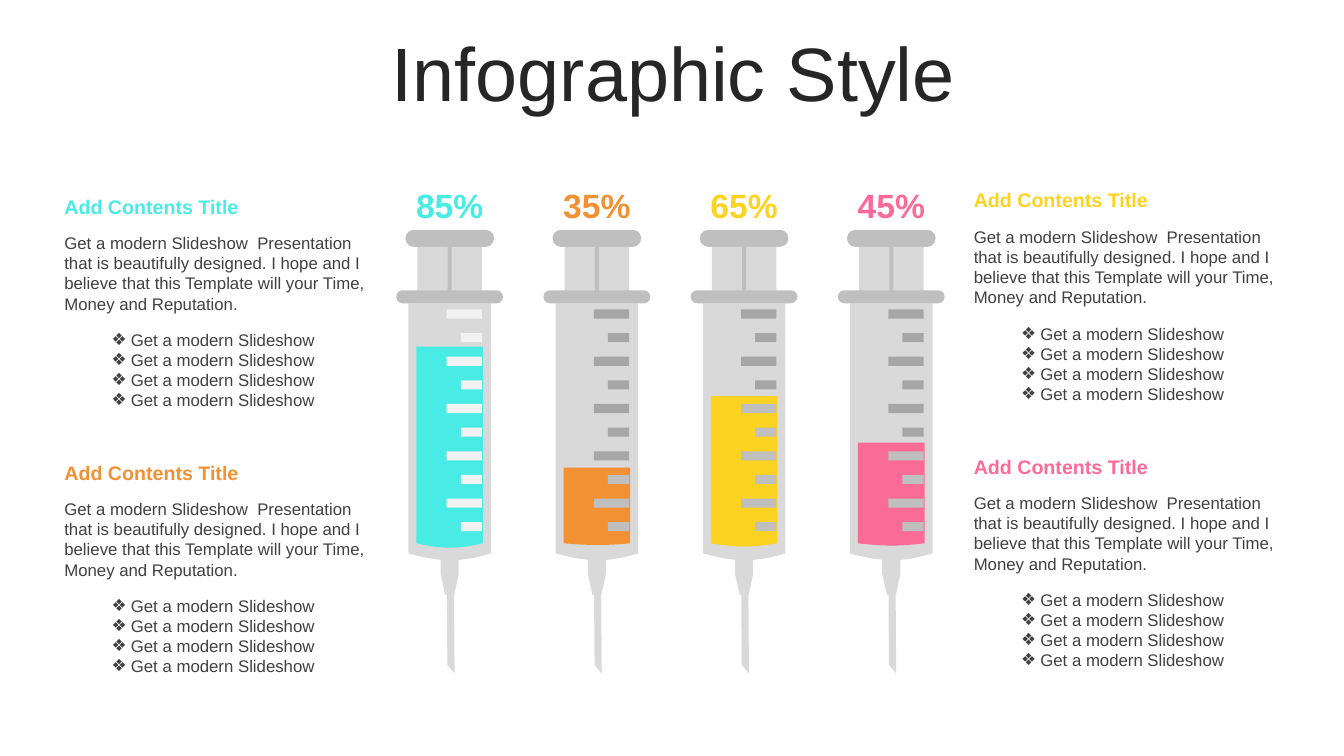
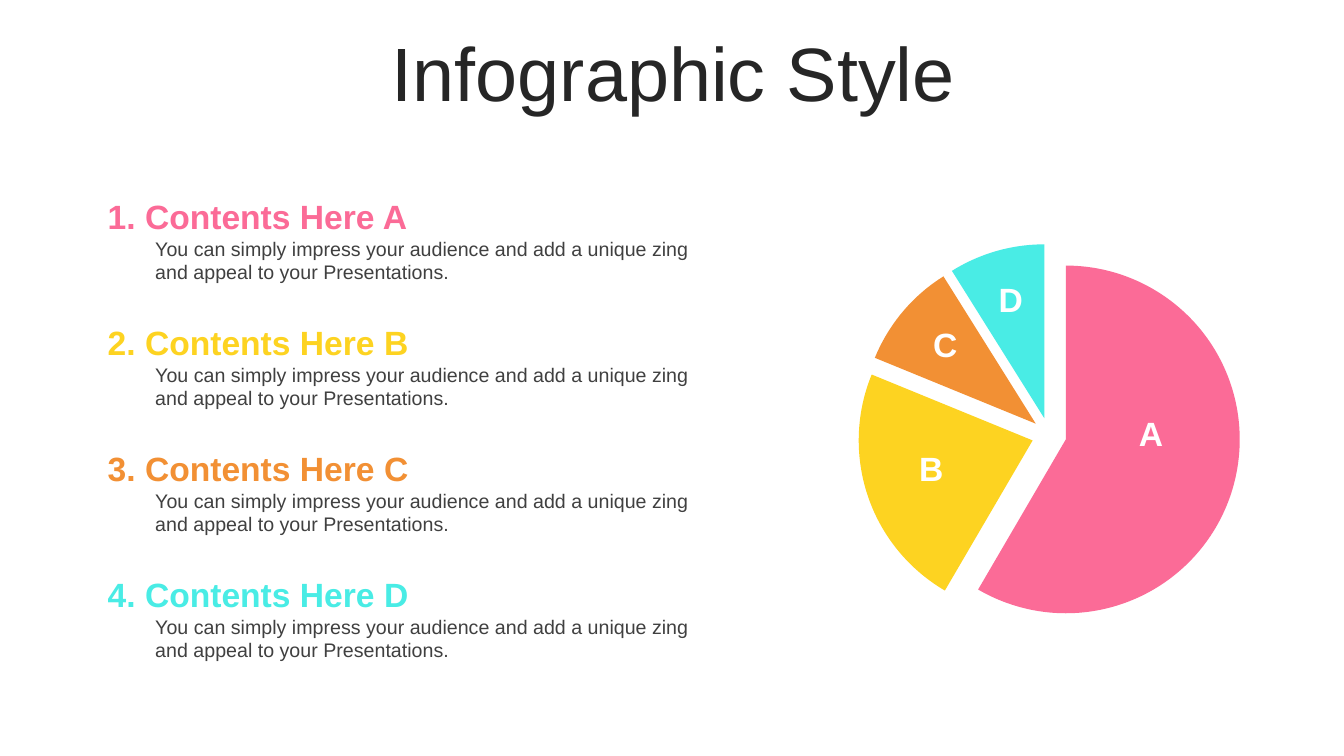
from lxml import etree
from pptx import Presentation
from pptx.chart.data import CategoryChartData
from pptx.dml.color import RGBColor
from pptx.enum.chart import XL_CHART_TYPE as CHART
from pptx.enum.shapes import MSO_SHAPE as SHAPE
from pptx.enum.text import MSO_ANCHOR as ANCHOR, PP_ALIGN as ALIGN
from pptx.oxml.ns import qn
from pptx.util import Emu, Pt

EMU_PER_PX = 9144  # 100 px to the inch
FONT = "Arial"
COLORS = {
    "title": "262626",
    "text": "404040",
    "white": "FFFFFF",
    "cyan": "49ECE5",
    "orange": "F29034",
    "yellow": "FDD321",
    "pink": "FB6B97",
    "glass": "D9D9D9",
    "grip": "BFBFBF",
    "tick_light": "F2F2F2",
    "tick_dry": "A6A6A6",
    "tick_wet": "BFBFBF",
}

INTRO = ("Get a modern Slideshow  Presentation that is beautifully designed. "
         "I hope and I believe that this Template will your Time, "
         "Money and Reputation.")
BULLET = "Get a modern Slideshow"
DETAIL = ("You can simply impress your audience and add a unique zing "
          "and appeal to your Presentations.")

# label, colour, top of the liquid
SYRINGES = [
    ("85%", "cyan", 344),
    ("35%", "orange", 464),
    ("65%", "yellow", 393),
    ("45%", "pink", 439),
]
# colour, left, top
TEXT_BLOCKS = [
    ("cyan", 54, 188),
    ("orange", 54, 452),
    ("yellow", 956, 182),
    ("pink", 956, 446),
]
# letter, colour, value, left and top of the letter on the pie
SLICES = [
    ("A", "pink", 59, 1112, 405),
    ("B", "yellow", 23, 894, 439),
    ("C", "orange", 10, 908, 316),
    ("D", "cyan", 9, 973, 272),
]


def px(n):
    return Emu(round(n * EMU_PER_PX))


def rgb(name):
    return RGBColor.from_string(COLORS[name])


def paint(sp, color):
    """Give a shape a plain fill with no outline or shadow."""
    sp.shadow.inherit = False
    sp.fill.solid()
    sp.fill.fore_color.rgb = rgb(color)
    sp.line.fill.background()
    return sp


def add_block(shapes, kind, x, y, w, h, color, adj=None, rotation=0):
    sp = paint(shapes.add_shape(kind, px(x), px(y), px(w), px(h)), color)
    sp.rotation = rotation
    if adj is not None:
        sp.adjustments[0] = adj
    return sp


def add_tube(shapes, x, top, w, bottom, bend, color):
    """Draw a rectangle whose bottom edge is a curve with its controls bend px lower."""
    lowest = bottom + 0.75 * bend
    corners = [(x + w, top), (x + w, bottom), (x + w / 2, lowest), (x, bottom)]
    builder = shapes.build_freeform(px(x), px(top), scale=1.0)
    builder.add_line_segments([(px(a), px(b)) for a, b in corners], close=True)
    sp = builder.convert_to_shape()

    # One Bezier curve takes the place of the two straight bottom segments.
    *_, to_lowest, to_left = sp._element.iter(qn("a:lnTo"))
    curve = etree.Element(qn("a:cubicBezTo"))
    h = bottom - top
    for a, b in [(0.63 * w, h + bend), (0.4 * w, h + bend), (0, h)]:
        etree.SubElement(curve, qn("a:pt"), x=str(px(a)), y=str(px(b)))
    outline = to_left.getparent()
    outline.replace(to_lowest, curve)
    outline.remove(to_left)
    return paint(sp, color)


def set_bullet(p, char, indent):
    pPr = p._p.get_or_add_pPr()
    pPr.set("marL", str(px(indent)))
    pPr.set("indent", str(-px(indent)))
    etree.SubElement(pPr, qn("a:buFont"), typeface=FONT)
    etree.SubElement(pPr, qn("a:buChar"), char=char)


def add_text(shapes, box, lines, size, color, bold=False, align=ALIGN.LEFT,
             inset=10, anchor=ANCHOR.TOP, spacing=None, bullet=None):
    sp = shapes.add_textbox(*map(px, box))
    tf = sp.text_frame
    tf.word_wrap = True
    tf.vertical_anchor = anchor
    tf.margin_left = tf.margin_right = px(inset)
    tf.margin_top = tf.margin_bottom = px(5)
    for i, line in enumerate(lines):
        p = tf.add_paragraph() if i else tf.paragraphs[0]
        p.alignment = align
        if spacing:
            p.line_spacing = spacing
        if bullet:
            set_bullet(p, bullet, 19)
        r = p.add_run()
        r.text = line
        r.font.name = FONT
        r.font.size = Pt(size)
        r.font.bold = bold
        r.font.color.rgb = rgb(color)
    return sp


def add_slide(prs, title):
    slide = prs.slides.add_slide(prs.slide_layouts[6])
    add_text(slide.shapes, (35, 37, 1266, 79), [title], 54, "title",
             align=ALIGN.CENTER, anchor=ANCHOR.MIDDLE, spacing=0.9)
    return slide


def add_ticks(shapes, right, surface, light):
    for i in range(10):
        top = 307 + i * 211 / 9
        w = 21 if i % 2 else 35
        if light:
            color = "tick_light"
        else:
            color = "tick_wet" if top > surface else "tick_dry"
        add_block(shapes, SHAPE.RECTANGLE, right - w, top, w, 9, color)


def add_syringe(slide, x, label, color, surface, light_ticks):
    shapes = slide.shapes.add_group_shape().shapes
    add_block(shapes, SHAPE.DIAGONAL_STRIPE, x + 12, 575, 67, 81, "glass",
              adj=0.863, rotation=320)
    add_tube(shapes, x, 301, 82, 549, 9, "glass")
    add_block(shapes, SHAPE.ROUNDED_RECTANGLE, x - 3, 228, 88, 17, "grip", adj=0.5)
    add_block(shapes, SHAPE.RECTANGLE, x + 9, 245, 64, 46, "glass")
    add_block(shapes, SHAPE.RECTANGLE, x + 32, 553, 18, 17, "glass")
    add_block(shapes, SHAPE.TRAPEZOID, x + 32, 569, 18, 21, "glass", rotation=180)
    add_block(shapes, SHAPE.ROUNDED_RECTANGLE, x - 12, 288, 106, 13, "grip", adj=0.5)
    add_tube(shapes, x + 8, surface, 66, 539, (539 - surface) * 0.03, color)
    add_block(shapes, SHAPE.RECTANGLE, x + 39, 245, 4, 46, "grip")
    add_ticks(shapes, x + 73, surface, light_ticks)
    add_text(slide.shapes, (x - 8, 179, 98, 50), [label], 24, color,
             bold=True, align=ALIGN.CENTER, inset=12)


def add_text_block(slide, color, x, y):
    shapes = slide.shapes
    add_text(shapes, (x, y, 323, 34), ["Add Contents Title"], 14, color, bold=True)
    add_text(shapes, (x, y + 38, 323, 91), [INTRO], 12, "text")
    add_text(shapes, (x + 47, y + 134, 276, 91), [BULLET] * 4, 12, "text",
             bullet="❖")


def add_pie(slide):
    data = CategoryChartData()
    data.categories = [str(n) for n in range(1, len(SLICES) + 1)]
    data.add_series("Series 1", [value for _, _, value, _, _ in SLICES])
    chart = slide.shapes.add_chart(CHART.PIE, px(824), px(228), px(433), px(407),
                                   data).chart
    chart.has_legend = False
    chart.has_title = False
    chart.font.name = FONT
    chart.font.size = Pt(18)
    plot = chart.plots[0]
    plot.vary_by_categories = True
    series = plot.series[0]
    for i, (_, color, *_) in enumerate(SLICES):
        fmt = series.points[i].format
        fmt.fill.solid()
        fmt.fill.fore_color.rgb = rgb(color)
        fmt.line.fill.background()
    explosion = etree.Element(qn("c:explosion"), val="10")
    series._element.find(qn("c:dPt")).addprevious(explosion)


def add_content_item(slide, number, letter, color):
    y = 189 + 125 * (number - 1)
    add_text(slide.shapes, (146, y + 41, 581, 57), [DETAIL], 14, "text", inset=8)
    add_text(slide.shapes, (97, y, 630, 50), [f"{number}. Contents Here {letter}"],
             24, color, bold=True)


def build_syringe_slide(prs):
    slide = add_slide(prs, "Infographic Style")
    for i, (label, color, surface) in enumerate(SYRINGES):
        add_syringe(slide, 405 + 146 * i, label, color, surface,
                    light_ticks=i == 0)
    for block in TEXT_BLOCKS:
        add_text_block(slide, *block)


def build_pie_slide(prs):
    slide = add_slide(prs, "Infographic Style")
    add_pie(slide)
    for number, (letter, color, _, x, y) in enumerate(SLICES, 1):
        add_text(slide.shapes, (x, y, 59, 50), [letter], 24, "white",
                 bold=True, align=ALIGN.CENTER)
        add_content_item(slide, number, letter, color)


def main():
    prs = Presentation()
    prs.slide_width, prs.slide_height = px(1333), px(750)
    build_syringe_slide(prs)
    build_pie_slide(prs)
    prs.save("out.pptx")


if __name__ == "__main__":
    main()
